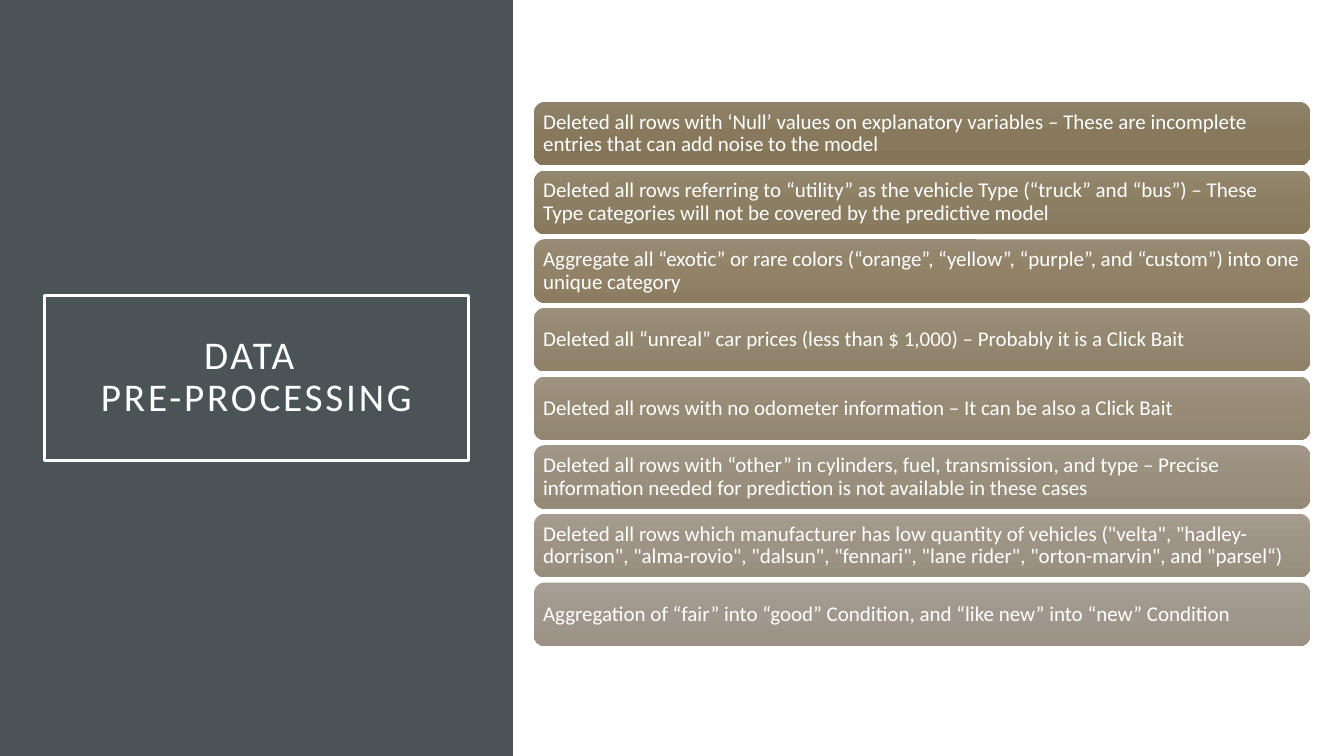
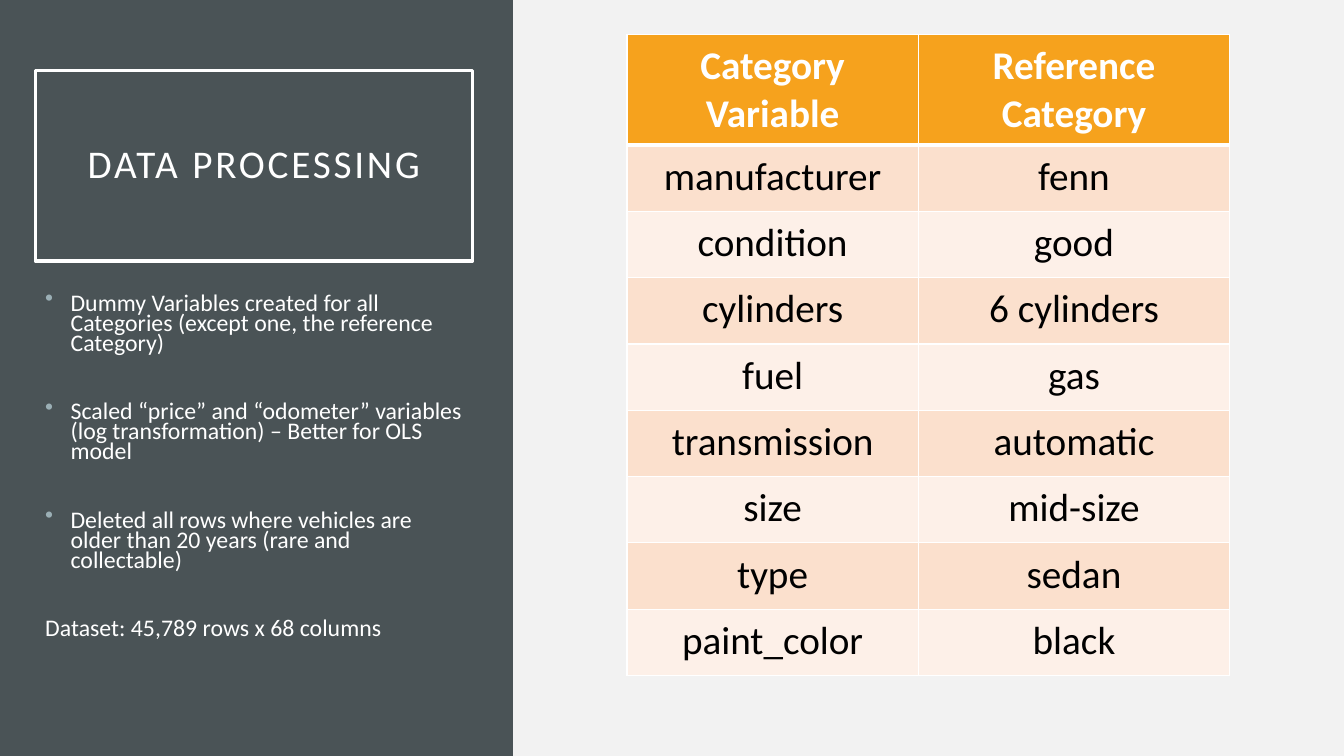
from copy import deepcopy

from lxml.etree import SubElement
from pptx import Presentation
from pptx.dml.color import RGBColor
from pptx.enum.shapes import MSO_SHAPE
from pptx.enum.text import MSO_ANCHOR, MSO_AUTO_SIZE, PP_ALIGN
from pptx.oxml.ns import qn
from pptx.util import Cm, Pt

COLORS = {
    "white": "FFFFFF",
    "black": "000000",
    "pale": "F2F2F2",
    "slate": "4A5356",
    "bullet": "9BAFB5",
    "header": "F6A21D",
    "odd_row": "FBE0CD",
    "even_row": "FDF0E8",
}
FONT = "Calibri"

CLEANING_STEPS = [
    ("Deleted all rows with ‘Null’ values on explanatory variables – These are incomplete "
     "entries that can add noise to the model", ("8F8269", "88795C", "847557")),
    ("Deleted all rows referring to “utility” as the vehicle Type (“truck” and “bus”) – These "
     "Type categories will not be covered by the predictive model", ("93876F", "8C7E62", "88795D")),
    ("Aggregate all “exotic” or rare colors (“orange”, “yellow”, “purple”, and “custom”) into one "
     "unique category", ("978B74", "918268", "8C7D62")),
    ("Deleted all “unreal” car prices (less than $ 1,000) – Probably it is a Click Bait",
     ("9B8F7A", "94876F", "908169")),
    ("Deleted all rows with no odometer information – It can be also a Click Bait",
     ("9E9381", "978B76", "928670")),
    ("Deleted all rows with “other” in cylinders, fuel, transmission, and type – Precise "
     "information needed for prediction is not available in these cases",
     ("A19788", "9A8F7D", "958A77")),
    ('Deleted all rows which manufacturer has low quantity of vehicles ("velta", "hadley-'
     'dorrison", "alma-rovio", "dalsun", "fennari", "lane rider", "orton-marvin", and "parsel“)',
     ("A49B8E", "9D9485", "988E7E")),
    ("Aggregation of “fair” into “good” Condition, and “like new” into “new” Condition",
     ("A79F95", "A0988C", "9B9285")),
]
PROCESSING_NOTES = [
    "Dummy Variables created for all Categories (except one, the reference Category)",
    "Scaled “price” and “odometer” variables (log transformation) – Better for OLS model",
    "Deleted all rows where vehicles are older than 20 years (rare and collectable)",
]
DATASET_SIZE = "Dataset: 45,789 rows x 68 columns"
REFERENCE_CATEGORIES = [
    ("Category Variable", "Reference Category"),
    ("manufacturer", "fenn"),
    ("condition", "good"),
    ("cylinders", "6 cylinders"),
    ("fuel", "gas"),
    ("transmission", "automatic"),
    ("size", "mid-size"),
    ("type", "sedan"),
    ("paint_color", "black"),
]


def rgb(name):
    return RGBColor.from_string(COLORS.get(name, name))


def write(paragraph, text, size, color="white", bold=False, align=PP_ALIGN.LEFT,
          line_spacing=1.0, space_after=0, tracking=0):
    paragraph.text = text
    paragraph.alignment = align
    paragraph.line_spacing = line_spacing
    paragraph.space_after = Pt(space_after)
    for run in paragraph.runs:
        run.font.name = FONT
        run.font.size = Pt(size)
        run.font.bold = bold
        run.font.color.rgb = rgb(color)
        if tracking:
            run.font._element.set("spc", str(tracking * 100))
    for line_break in paragraph._p.findall(qn("a:br")):
        line_break.insert(0, deepcopy(paragraph.runs[0].font._element))


def add_bullet(paragraph, indent):
    properties = paragraph._p.get_or_add_pPr()
    properties.set("marL", str(indent))
    properties.set("indent", str(-indent))
    bullet_color = SubElement(properties, qn("a:buClr"))
    SubElement(bullet_color, qn("a:srgbClr"), val=COLORS["bullet"])
    SubElement(properties, qn("a:buChar"), char="•")


def add_border(cell, side, points):
    border = SubElement(cell._tc.get_or_add_tcPr(), qn(f"a:ln{side}"), w=str(Pt(points)))
    border_fill = SubElement(border, qn("a:solidFill"))
    SubElement(border_fill, qn("a:srgbClr"), val=COLORS["white"])


def set_margins(frame, horizontal, vertical):
    frame.margin_left = frame.margin_right = Cm(horizontal)
    frame.margin_top = frame.margin_bottom = Cm(vertical)


class Deck:
    def __init__(self):
        self.presentation = Presentation()
        self.presentation.slide_width = Cm(33.87)
        self.presentation.slide_height = Cm(19.05)
        self.slide = None

    def add_slide(self, title, left, top, width, height, background):
        self.slide = self.presentation.slides.add_slide(self.presentation.slide_layouts[5])
        backdrop = self.slide.background.fill
        backdrop.solid()
        backdrop.fore_color.rgb = rgb(background)
        self.add_side_panel()
        heading = self.slide.shapes.title
        heading.left, heading.top = Cm(left), Cm(top)
        heading.width, heading.height = Cm(width), Cm(height)
        heading.line.color.rgb = rgb("white")
        heading.line.width = Pt(2.5)
        frame = heading.text_frame
        frame.word_wrap = True
        frame.auto_size = MSO_AUTO_SIZE.NONE
        frame.vertical_anchor = MSO_ANCHOR.MIDDLE
        set_margins(frame, 0.51, 0.51)
        write(frame.paragraphs[0], title, size=28, align=PP_ALIGN.CENTER,
              line_spacing=0.9, tracking=2)

    def add_side_panel(self):
        panel = self.slide.shapes.add_shape(
            MSO_SHAPE.RECTANGLE, 0, 0, Cm(12.93), self.presentation.slide_height)
        panel.shadow.inherit = False
        panel.fill.solid()
        panel.fill.fore_color.rgb = rgb("slate")
        panel.line.fill.background()
        self.slide.shapes._spTree.insert(2, panel._element)

    def add_step(self, text, shades, top):
        step = self.slide.shapes.add_shape(
            MSO_SHAPE.ROUNDED_RECTANGLE, Cm(13.46), Cm(top), Cm(19.56), Cm(1.6))
        step.shadow.inherit = False
        step.line.fill.background()
        step.fill.gradient()
        step.fill.gradient_angle = 270
        stop_list = step._element.spPr.find(".//" + qn("a:gsLst"))
        stop_list.insert(1, deepcopy(stop_list[0]))
        for stop, position, shade in zip(step.fill.gradient_stops, (0, 0.5, 1), shades):
            stop.position = position
            stop.color.rgb = rgb(shade)
        frame = step.text_frame
        frame.word_wrap = True
        frame.vertical_anchor = MSO_ANCHOR.MIDDLE
        set_margins(frame, 0.15, 0.15)
        write(frame.paragraphs[0], text, size=15, line_spacing=0.9)

    def add_notes_list(self, notes, closing, left, top, width, height):
        frame = self.slide.shapes.add_textbox(
            Cm(left), Cm(top), Cm(width), Cm(height)).text_frame
        frame.word_wrap = True
        for index, text in enumerate([*notes, closing]):
            paragraph = frame.add_paragraph() if index else frame.paragraphs[0]
            write(paragraph, text, size=17, line_spacing=0.7, space_after=34.5)
            if index < len(notes):
                add_bullet(paragraph, Cm(0.64))

    def add_category_table(self, rows, left, top, column_widths, header_height, row_height):
        height = header_height + row_height * (len(rows) - 1)
        table = self.slide.shapes.add_table(
            len(rows), len(column_widths), Cm(left), Cm(top),
            Cm(sum(column_widths)), Cm(height)).table
        table.horz_banding = False
        for column, width in zip(table.columns, column_widths):
            column.width = Cm(width)
        for row_index, values in enumerate(rows):
            is_header = row_index == 0
            table.rows[row_index].height = Cm(header_height if is_header else row_height)
            fill = "header" if is_header else ("even_row", "odd_row")[row_index % 2]
            widths = {"L": 1, "R": 1, "T": 3 if row_index == 1 else 1, "B": 3 if is_header else 1}
            for column_index, value in enumerate(values):
                cell = table.cell(row_index, column_index)
                set_margins(cell, 0.41, 0.2)
                for side, points in widths.items():
                    add_border(cell, side, points)
                cell.fill.solid()
                cell.fill.fore_color.rgb = rgb(fill)
                write(cell.text_frame.paragraphs[0], value, size=28, bold=is_header,
                      color="white" if is_header else "black", align=PP_ALIGN.CENTER)


def main():
    deck = Deck()

    deck.add_slide("DATA \vPRE-PROCESSING", 1.12, 7.44, 10.69, 4.17, "white")
    for index, (text, shades) in enumerate(CLEANING_STEPS):
        deck.add_step(text, shades, top=2.57 + 1.73 * index)

    deck.add_slide("DATA PROCESSING", 0.89, 1.78, 11.02, 4.8, "pale")
    deck.add_notes_list(PROCESSING_NOTES, DATASET_SIZE, 0.89, 7.32, 11.02, 9.5)
    deck.add_category_table(REFERENCE_CATEGORIES, 15.8, 0.86, (7.34, 7.85), 2.8, 1.67)

    deck.presentation.save("out.pptx")


if __name__ == "__main__":
    main()
